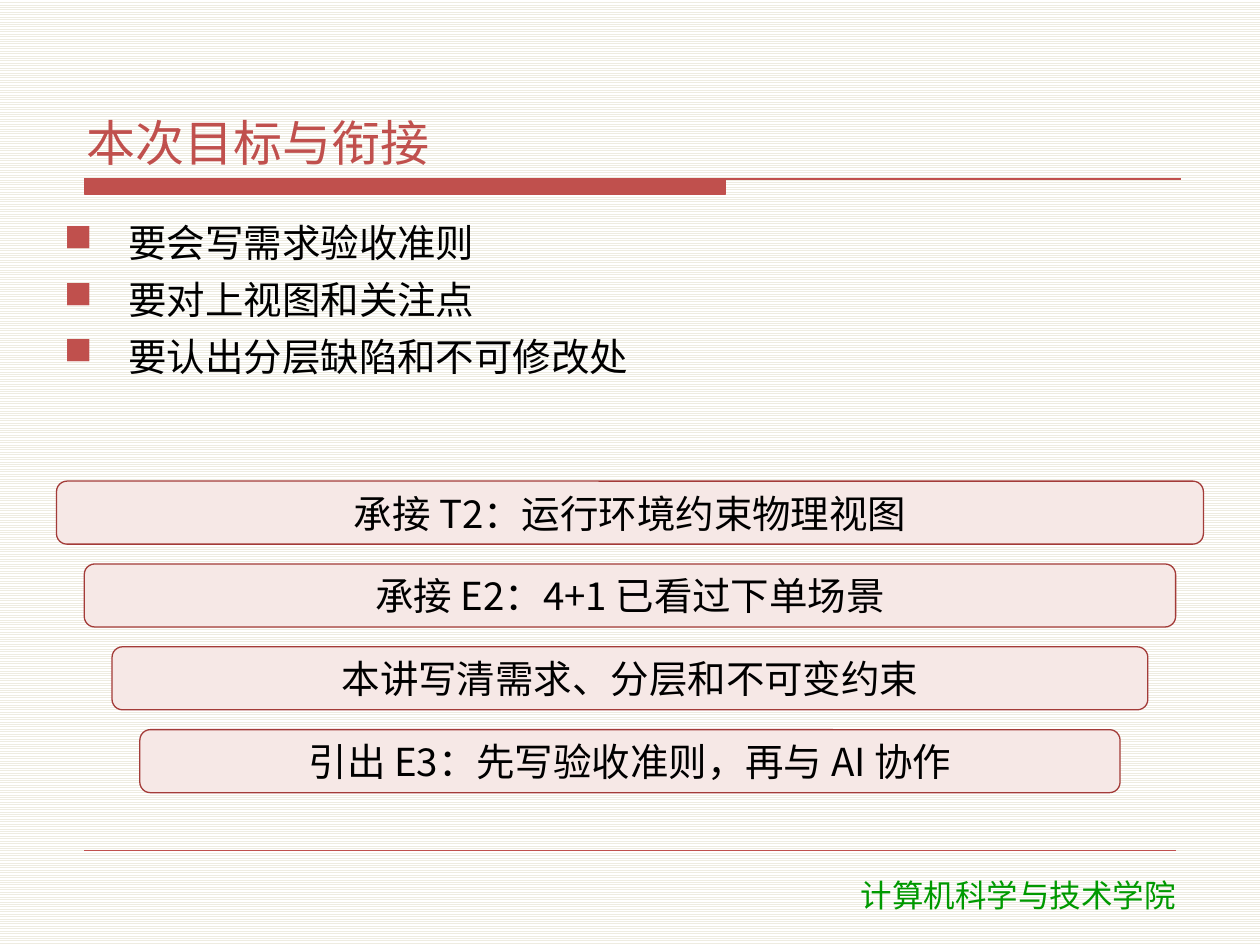
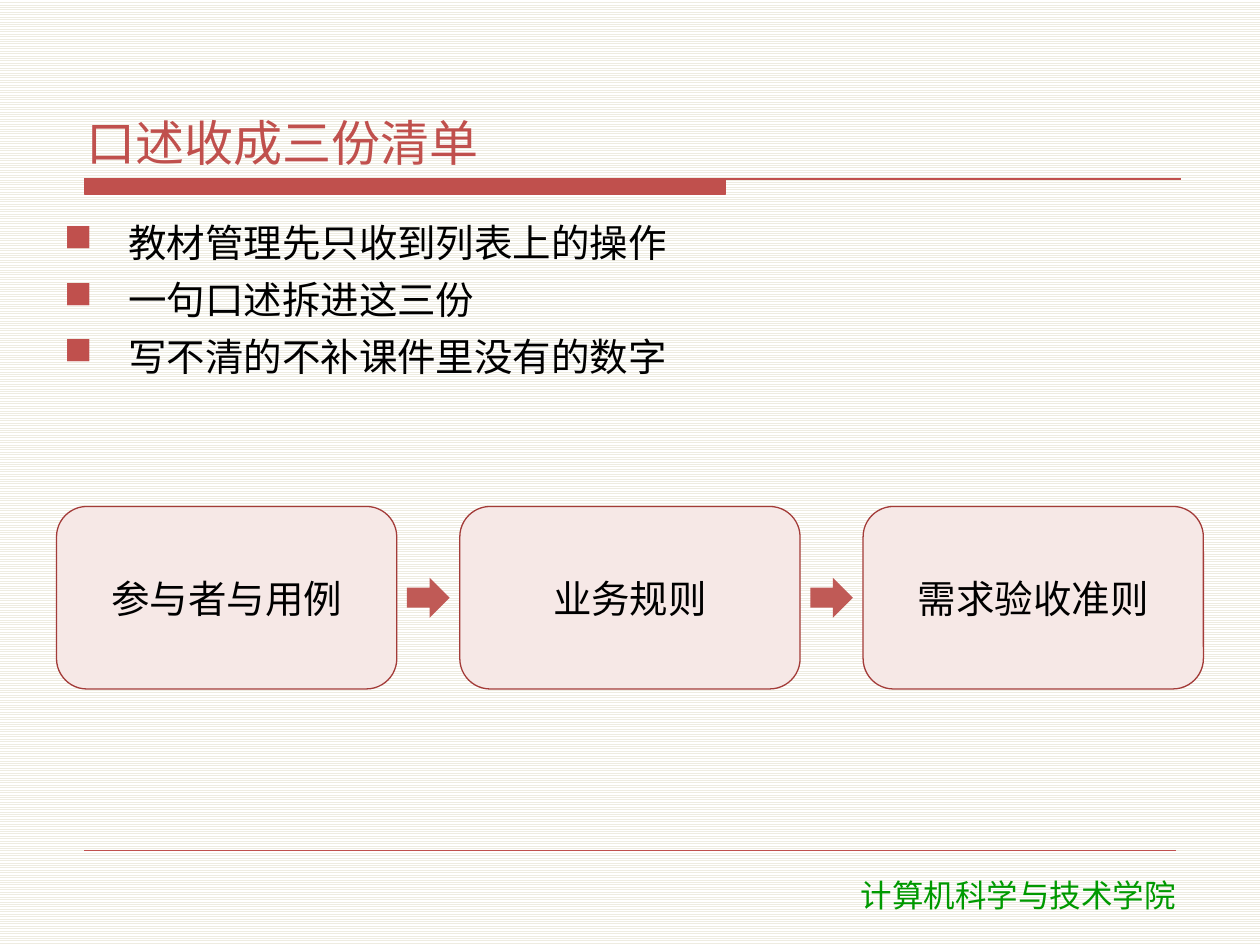
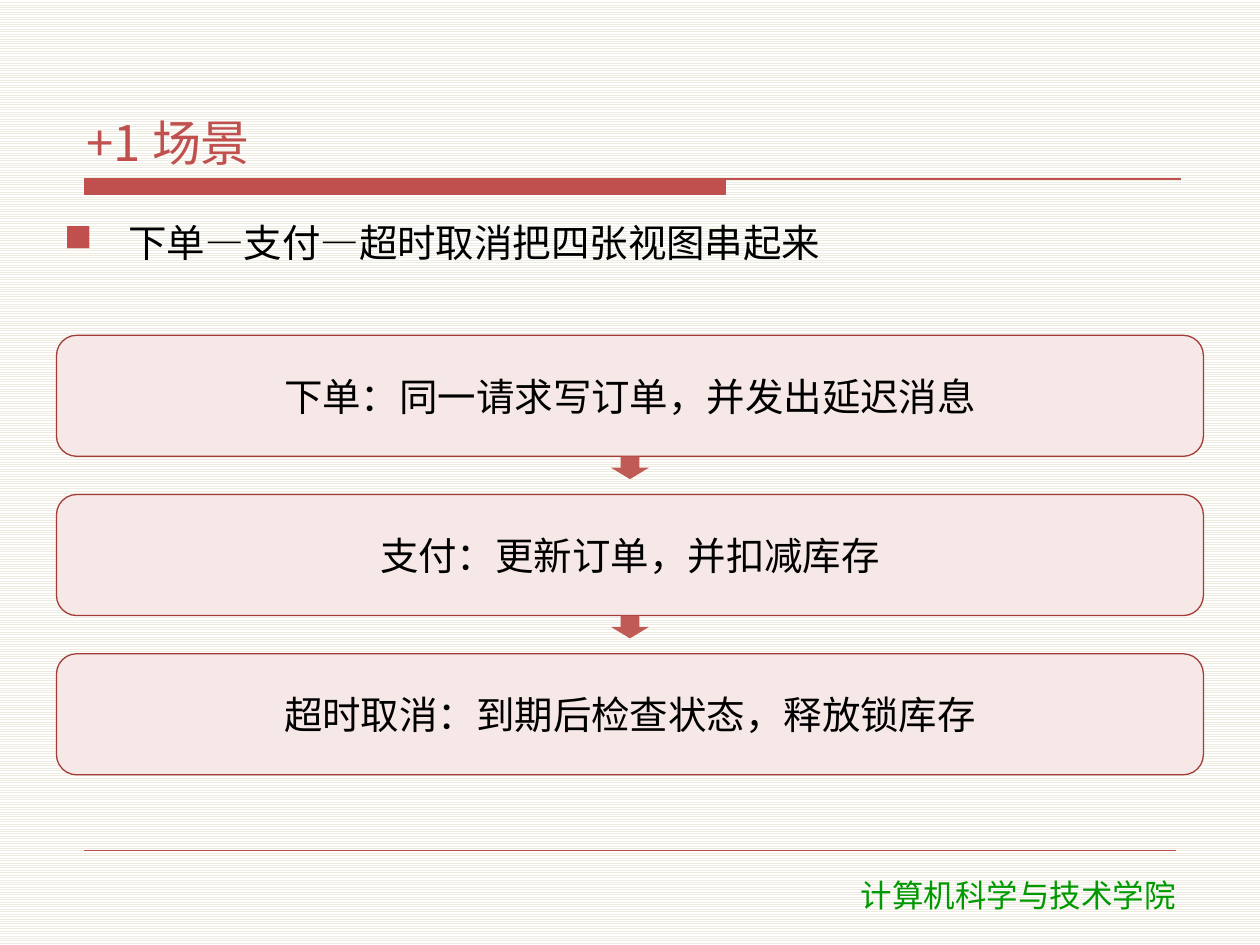
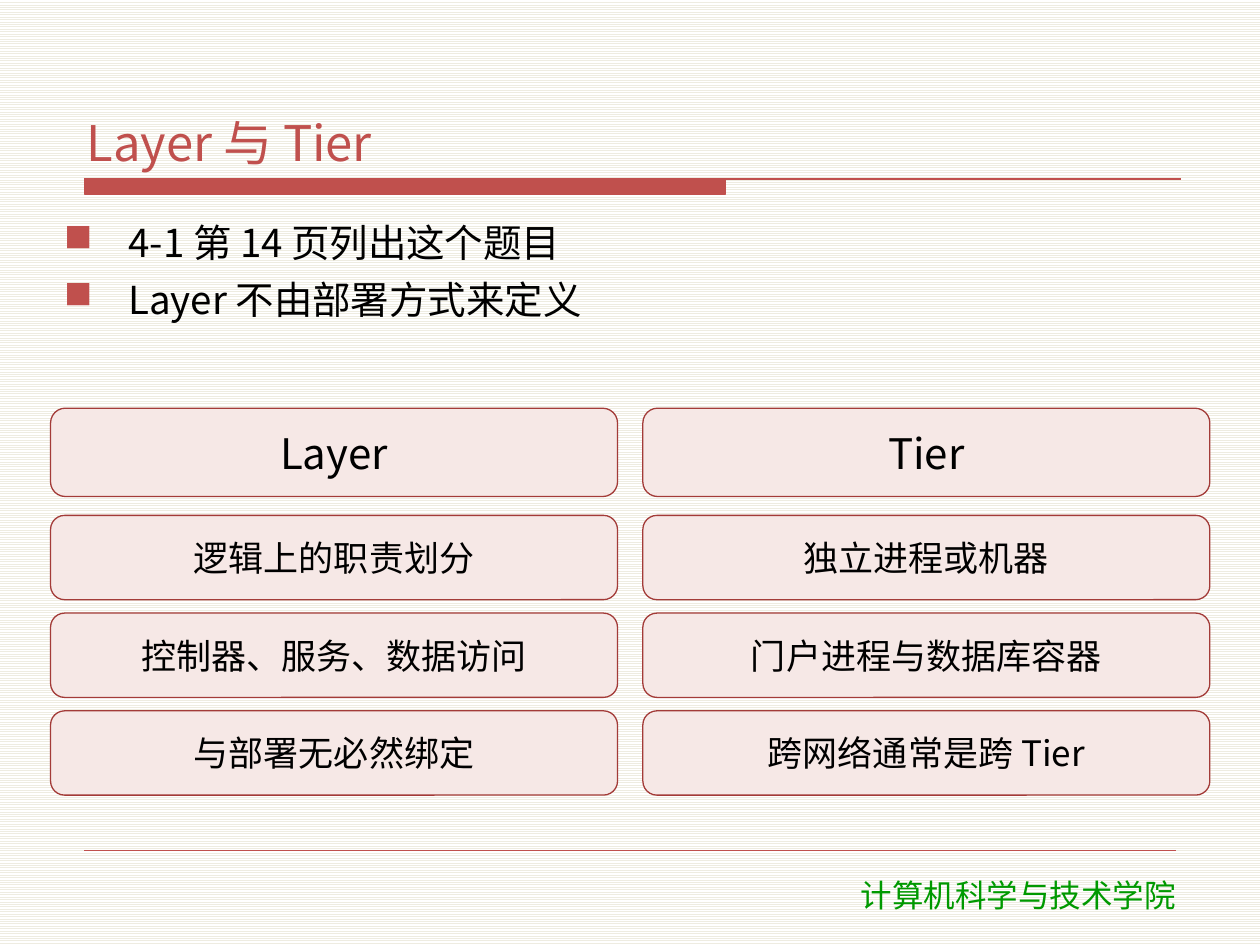
from lxml import etree
from pptx import Presentation
from pptx.dml.color import RGBColor
from pptx.enum.dml import MSO_PATTERN
from pptx.enum.shapes import MSO_CONNECTOR, MSO_SHAPE
from pptx.enum.text import MSO_ANCHOR, MSO_AUTO_SIZE, PP_ALIGN
from pptx.oxml.ns import qn
from pptx.util import Cm, Pt

ROUND, RIGHT, DOWN = MSO_SHAPE.ROUNDED_RECTANGLE, MSO_SHAPE.RIGHT_ARROW, MSO_SHAPE.DOWN_ARROW
LEFT, MID = PP_ALIGN.LEFT, PP_ALIGN.CENTER
TOP, CENTER, BOTTOM = MSO_ANCHOR.TOP, MSO_ANCHOR.MIDDLE, MSO_ANCHOR.BOTTOM
STRIPE = MSO_PATTERN.LIGHT_HORIZONTAL
GROW = MSO_AUTO_SIZE.SHAPE_TO_FIT_TEXT
STRAIGHT = MSO_CONNECTOR.STRAIGHT

RED, EDGE, PINK, ARROW = "C0504D", "A33B38", "F6E8E6", "C05A56"
BLACK, GREEN, CREAM, WHITE = "000000", "009900", "EEECE1", "FFFFFF"
SANS, PLAIN = "Noto Sans CJK SC", "DejaVu Sans"
EDGE_X, FULL = 1.14, 23.12
SCHOOL = "计算机科学与技术学院"

GOALS = {
    "title": "本次目标与衔接",
    "points": ["要会写需求验收准则", "要对上视图和关注点", "要认出分层缺陷和不可修改处"],
    "boxes": ["承接 T2：运行环境约束物理视图", "承接 E2：4+1 已看过下单场景",
              "本讲写清需求、分层和不可变约束", "引出 E3：先写验收准则，再与 AI 协作"],
}
LISTS = {
    "title": "口述收成三份清单",
    "points": ["教材管理先只收到列表上的操作", "一句口述拆进这三份", "写不清的不补课件里没有的数字"],
    "boxes": ["参与者与用例", "业务规则", "需求验收准则"],
}
SCENE = {
    "title": "+1 场景",
    "points": ["下单—支付—超时取消把四张视图串起来"],
    "boxes": ["下单：同一请求写订单，并发出延迟消息", "支付：更新订单，并扣减库存",
              "超时取消：到期后检查状态，释放锁库存"],
}
TIERS = {
    "title": "Layer 与 Tier",
    "points": ["4-1 第 14 页列出这个题目", "Layer 不由部署方式来定义"],
    "boxes": [("Layer", "Tier"), ("逻辑上的职责划分", "独立进程或机器"),
              ("控制器、服务、数据访问", "门户进程与数据库容器"),
              ("与部署无必然绑定", "跨网络通常是跨 Tier")],
}


def color(code):
    return RGBColor.from_string(code)


def apply(target, values):
    for name, value in values.items():
        setattr(target, name, value)


def bullet(para):
    props = para._p.get_or_add_pPr()
    props.set("marL", str(Cm(1.3)))
    props.set("indent", str(-Cm(1.3)))
    tint = etree.SubElement(props, qn("a:buClr"))
    etree.SubElement(tint, qn("a:srgbClr"), val=RED)
    etree.SubElement(props, qn("a:buChar"), char="■")


def write(shape, lines, size, tint=BLACK, face=SANS, align=LEFT, anchor=TOP,
          gap=0, after=2, marks=False, inset=(0.15, 0.05)):
    frame = shape.text_frame
    side, edge = map(Cm, inset)
    apply(frame, {"word_wrap": True, "vertical_anchor": anchor, "margin_left": side,
                  "margin_right": side, "margin_top": edge, "margin_bottom": edge})
    for i, line in enumerate(lines):
        para = frame.add_paragraph() if i else frame.paragraphs[0]
        if marks:
            bullet(para)
        apply(para, {"alignment": align, "space_after": Pt(after)})
        if i:
            para.space_before = Pt(gap)
        run = para.add_run()
        run.text = line
        apply(run.font, {"size": Pt(size), "name": face})
        run.font.color.rgb = color(tint)
        etree.SubElement(run.font._element, qn("a:ea"), typeface=face)


def label(slide, area, lines, size, **style):
    box = slide.shapes.add_textbox(*map(Cm, area))
    write(box, lines, size, **style)
    return box


def solid(shape, fill, edge=None):
    shape.shadow.inherit = False
    shape.fill.solid()
    shape.fill.fore_color.rgb = color(fill)
    if edge:
        shape.line.color.rgb = color(edge)
        shape.line.width = Pt(0.75)
    else:
        shape.line.fill.background()


def card(slide, area, text, size=22):
    box = slide.shapes.add_shape(ROUND, *map(Cm, area))
    solid(box, PINK, EDGE)
    write(box, [text], size, align=MID, anchor=CENTER)


def arrow(slide, kind, area):
    solid(slide.shapes.add_shape(kind, *map(Cm, area)), ARROW)


def band(slide):
    left, top, turn, low, end = map(Cm, (1.7, 3.61, 14.63, 3.91, 23.8))
    path = slide.shapes.build_freeform(left, top)
    path.add_line_segments([(turn, top), (turn, low), (left, low)], close=True)
    path.move_to(left, top)
    path.add_line_segments([(end, top)], close=False)
    solid(path.convert_to_shape(), RED, RED)


def footer(slide):
    rule = slide.shapes.add_connector(STRAIGHT, *map(Cm, (1.7, 17.15, 23.7, 17.15)))
    rule.line.color.rgb = color(RED)
    rule.line.width = Pt(0.25)
    etree.SubElement(rule._element.spPr, qn("a:effectLst"))
    name = label(slide, (15.42, 17.53, 10.21, 1.02), [SCHOOL], 18, tint=GREEN,
                 face=PLAIN, align=MID, after=0, inset=(0.25, 0.13))
    name.text_frame.auto_size = GROW


def base(deck, data):
    slide = deck.slides.add_slide(deck.slide_layouts[6])
    fill = slide.background.fill
    fill.patterned()
    fill.pattern = STRIPE
    fill.fore_color.rgb, fill.back_color.rgb = color(CREAM), color(WHITE)
    band(slide)
    footer(slide)
    label(slide, (1.6, 0.84, 22.22, 2.67), [data["title"]], 28, tint=RED, anchor=BOTTOM)
    points = data["points"]
    label(slide, (EDGE_X, 4.37, FULL, 1.47 * len(points) + 0.71), points, 22,
          gap=4, marks=True)
    return slide


def funnel(slide, boxes):
    for i, text in enumerate(boxes):
        inset = 0.56 * i
        card(slide, (EDGE_X + inset, 9.7 + 1.67 * i, FULL - 2 * inset, 1.27), text)


def chain(slide, boxes):
    top, wide, high, gap = 10.21, 6.86, 3.68, 1.27
    long, tall = 0.86, 0.81
    for i, text in enumerate(boxes):
        left = EDGE_X + i * (wide + gap)
        if i:
            arrow(slide, RIGHT, (left - (gap + long) / 2, top + (high - tall) / 2, long, tall))
        card(slide, (left, top, wide, high), text)


def stack(slide, boxes):
    high, step, wide = 2.44, 3.21, 0.76
    for i, text in enumerate(boxes):
        top = 6.76 + i * step
        if i:
            arrow(slide, DOWN, (EDGE_X + (FULL - wide) / 2, top - step + high, wide, 0.46))
        card(slide, (EDGE_X, top, FULL, high), text)


def grid(slide, boxes):
    for i, row in enumerate(boxes):
        top, high, size = (10.39 + 1.97 * (i - 1), 1.7, 20) if i else (8.23, 1.78, 24)
        for j, text in enumerate(row):
            card(slide, (1.02 + 11.94 * j, top, 11.43, high), text, size)


def main():
    deck = Presentation()
    deck.slide_width, deck.slide_height = Cm(25.4), Cm(19.05)
    for data, draw in ((GOALS, funnel), (LISTS, chain), (SCENE, stack), (TIERS, grid)):
        draw(base(deck, data), data["boxes"])
    deck.save("out.pptx")


if __name__ == "__main__":
    main()
